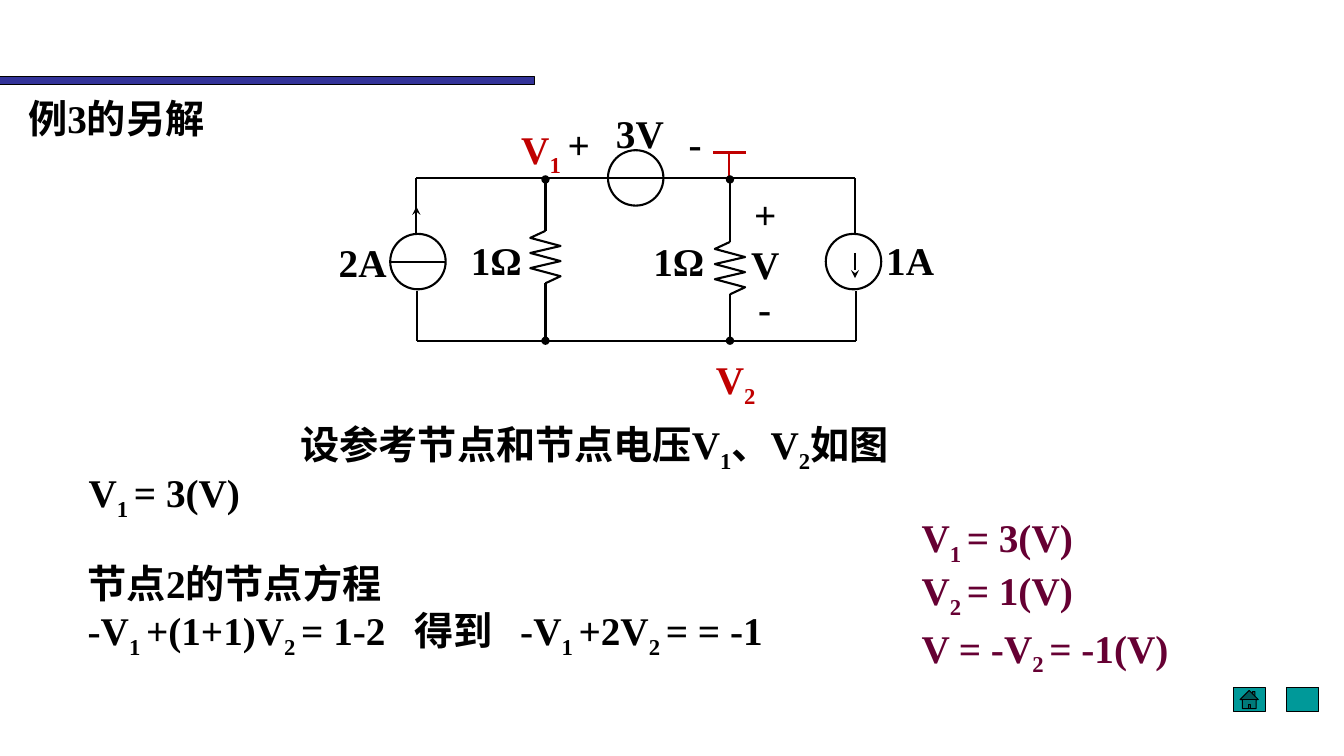
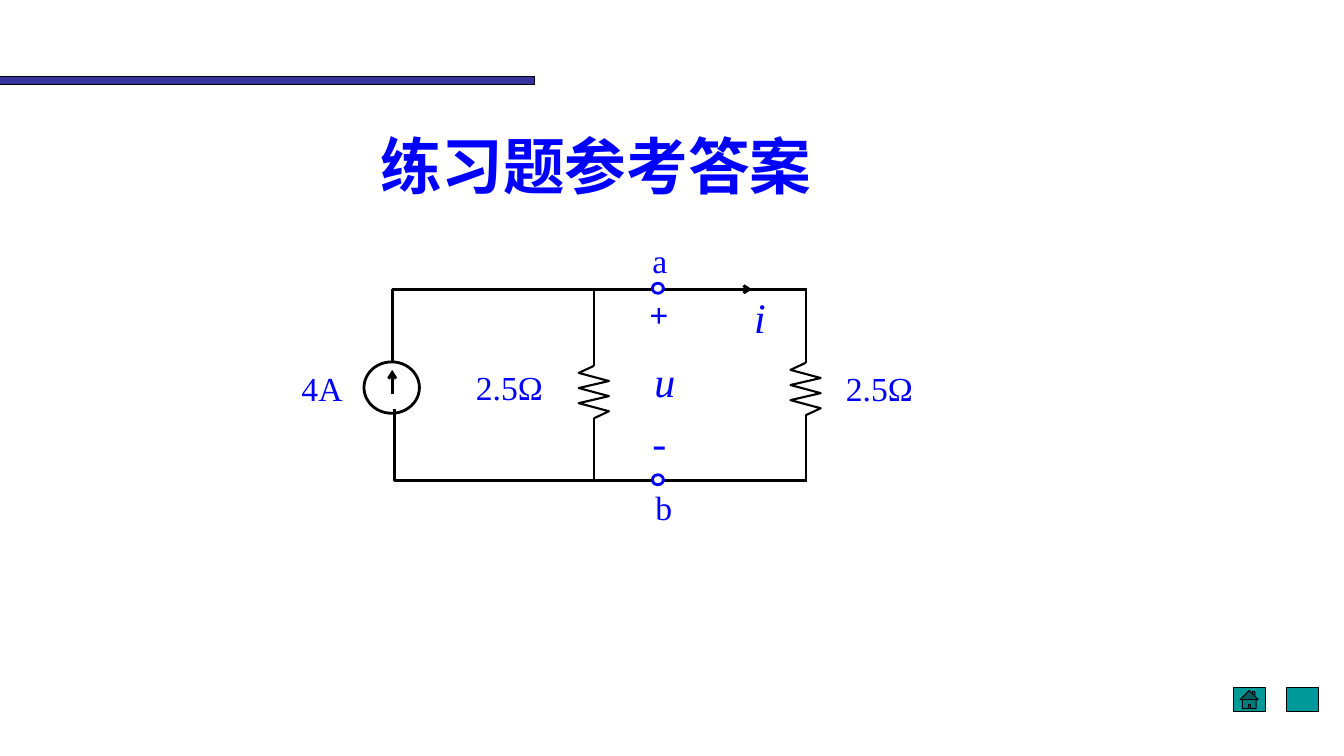
from lxml import etree
from pptx import Presentation
from pptx import util as u
from pptx.dml.color import RGBColor
from pptx.enum import shapes, text
from pptx.oxml.ns import qn

PX = 9144  # EMU in one px, 100 px to the inch

BLACK = RGBColor(0x00, 0x00, 0x00)
NAVY = RGBColor(0x33, 0x33, 0x99)
TEAL = RGBColor(0x00, 0x99, 0x99)
RED = RGBColor(0xC0, 0x00, 0x00)
WINE = RGBColor(0x66, 0x00, 0x33)
BLUE = RGBColor(0x00, 0x00, 0xFF)

SHAPE = shapes.MSO_SHAPE


class Deck:
    """Holds the style and the slide being drawn; all lengths are px."""

    def __init__(self, width, height):
        self.presentation = Presentation()
        self.presentation.slide_width = width * PX
        self.presentation.slide_height = height * PX
        self.slide = None
        self.set_style()

    def set_style(self, color=BLACK, size=28, bold=True, weight=1.5):
        """Sets the defaults for text and for line weight."""
        self.color, self.size, self.bold, self.weight = color, size, bold, weight

    def new_slide(self):
        layout = self.presentation.slide_layouts[6]
        self.slide = self.presentation.slides.add_slide(layout)
        self.shape(SHAPE.RECTANGLE, 0, 76, 530, 8, NAVY, weight=0.75)
        self.shape(SHAPE.ACTION_BUTTON_HOME, 1223, 682, 32, 24, TEAL, weight=0.75)
        self.shape(SHAPE.ACTION_BUTTON_CUSTOM, 1276, 682, 32, 24, TEAL, weight=0.75)

    def outline(self, shape, fill=None, color=BLACK, weight=None):
        shape.shadow.inherit = False
        if fill is None:
            shape.fill.background()
        else:
            shape.fill.solid()
            shape.fill.fore_color.rgb = fill
        shape.line.color.rgb = color
        shape.line.width = u.Pt(weight or self.weight)

    def shape(self, kind, left, top, width, height, fill=None, color=BLACK, weight=None):
        shape = self.slide.shapes.add_shape(
            kind, left * PX, top * PX, width * PX, height * PX)
        self.outline(shape, fill, color, weight)

    def circle(self, left, top, width, height, color=BLACK):
        self.shape(SHAPE.OVAL, left, top, width, height, color=color)

    def line(self, start, end, head=None, tail=None, color=BLACK, weight=None):
        """Draws a straight line; head and tail name the marks at its ends."""
        connector = self.slide.shapes.add_connector(
            shapes.MSO_CONNECTOR.STRAIGHT, *(value * PX for value in start + end))
        connector.line.color.rgb = color
        connector.line.width = u.Pt(weight or self.weight)
        properties = connector._element.spPr
        stroke = properties.find(qn("a:ln"))
        for tag, mark in (("a:headEnd", head), ("a:tailEnd", tail)):
            if mark:
                etree.SubElement(stroke, qn(tag)).set("type", mark)
        etree.SubElement(properties, qn("a:effectLst"))

    def wire(self, *points):
        for start, end in zip(points, points[1:]):
            self.line(start, end)

    def resistor(self, x, top, zigzag_top, bottom, mark=None):
        """Draws a vertical resistor with leads to top and bottom."""
        height, strokes = 52, 7
        zigzag_bottom = zigzag_top + height
        self.line((x, top), (x, zigzag_top), head=mark, weight=1.5)
        corners = [(x + (15 if step % 2 == 0 else -15),
                    zigzag_top + round(height * step / strokes))
                   for step in range(1, strokes)]
        builder = self.slide.shapes.build_freeform(x, zigzag_top, scale=PX)
        builder.add_line_segments(corners + [(x, zigzag_bottom)], close=False)
        self.outline(builder.convert_to_shape(), weight=1.5)
        self.line((x, zigzag_bottom), (x, bottom), tail=mark, weight=1.5)

    def text(self, left, top, content, width=90, height=47, color=None, size=None,
             bold=None, italic=False, font="Times New Roman", align=None, tabs=()):
        """Writes one paragraph a line; braces enclose subscripts."""
        box = self.slide.shapes.add_textbox(
            left * PX, top * PX, width * PX, height * PX)
        frame = box.text_frame
        frame.word_wrap = True
        frame.margin_left = frame.margin_right = 0
        frame.margin_top = frame.margin_bottom = 0
        for index, line in enumerate(content.split("\n")):
            paragraph = frame.add_paragraph() if index else frame.paragraphs[0]
            paragraph.alignment = align
            if tabs and "\t" in line:
                properties = paragraph._p.get_or_add_pPr()
                stops = etree.SubElement(properties, qn("a:tabLst"))
                for stop in tabs:
                    etree.SubElement(stops, qn("a:tab"), pos=str(stop * PX), algn="l")
            paragraph.font.name = font
            paragraph.font.size = u.Pt(size or self.size)
            paragraph.font.bold = self.bold if bold is None else bold
            paragraph.font.italic = italic
            paragraph.font.color.rgb = color or self.color
            for part, piece in enumerate(line.replace("}", "{").split("{")):
                if piece:
                    run = paragraph.add_run()
                    run.text = piece
                    if part % 2:
                        run._r.get_or_add_rPr().set("baseline", "-25000")


def example_slide(deck):
    deck.new_slide()
    deck.set_style()
    deck.text(28, 94, "例3的另解", 575)
    deck.text(298, 417, "设参考节点和节点电压V{1}、V{2}如图", 856)
    deck.text(88, 465, "V{1 }= 3(V)", 346)

    # Reference node
    deck.line((723, 176), (723, 151), color=RED, weight=2)
    deck.line((740, 151), (707, 151), color=RED, weight=2)

    # Circuit
    deck.wire((413, 231), (413, 177), (848, 177), (848, 231))
    deck.wire((414, 289), (414, 338), (849, 338), (849, 289))
    deck.resistor(541, 178, 229, 338, mark="oval")
    deck.resistor(724, 178, 240, 338, mark="oval")
    for left, top in ((387, 232), (603, 149), (819, 232)):
        deck.circle(left, top, 55, 55)
    deck.line((442, 260), (387, 260))
    deck.line((413, 230), (413, 205), tail="stealth")
    deck.line((848, 251), (848, 276), tail="stealth")

    for left, top, label in (
            (336, 236, "2A"), (467, 234, "1Ω"), (648, 235, "1Ω"), (879, 234, "1A"),
            (611, 108, "3V"), (563, 119, "+"), (683, 118, "-"),
            (748, 189, "+"), (745, 238, "V"), (752, 282, "-")):
        deck.text(left, top, label)
    deck.text(517, 124, "V{1}", color=RED)
    deck.text(710, 353, "V{2}", color=RED)

    # Solution
    deck.text(87, 555, "节点2的节点方程\n"
              "-V{1 }+(1+1)V{2 }= 1-2\t得到\t-V{1 }+2V{2 }= = -1",
              760, 94, tabs=(324, 429))
    deck.text(914, 509, "V{1 }= 3(V)\nV{2 }= 1(V)", 400, 93, color=WINE)
    deck.text(914, 619, "V = -V{2 }= -1(V)", 346, color=WINE)


def answer_slide(deck):
    deck.new_slide()
    deck.set_style(color=BLUE, size=24, bold=False, weight=2)
    deck.text(166, 127, "练习题参考答案", 850, 67, size=44, bold=True,
              font="Arial", align=text.PP_ALIGN.CENTER)

    # Circuit
    deck.wire((389, 359), (389, 287), (647, 287))
    deck.wire((391, 406), (391, 477), (647, 477))
    for y in (287, 477):
        deck.wire((658, y), (800, y))
        deck.circle(647, y - 6, 11, 10, BLUE)
    deck.resistor(589, 287, 363, 478)
    deck.resistor(799, 287, 360, 478)
    deck.circle(361, 359, 55, 51)
    deck.line((389, 391), (389, 367), tail="arrow")
    deck.line((720, 287), (746, 287), tail="arrow")

    for left, top, label in (
            (299, 365, "4A"), (472, 364, "2.5Ω"), (839, 365, "2.5Ω"),
            (647, 238, "a"), (650, 483, "b")):
        deck.text(left, top, label)
    deck.text(644, 292, "+", bold=True)
    deck.text(647, 413, "-", size=30)
    deck.text(748, 289, "i", size=30, italic=True)
    deck.text(649, 353, "u", size=30, italic=True)


def main():
    deck = Deck(1333, 750)
    example_slide(deck)
    answer_slide(deck)
    deck.presentation.save("out.pptx")


if __name__ == "__main__":
    main()
